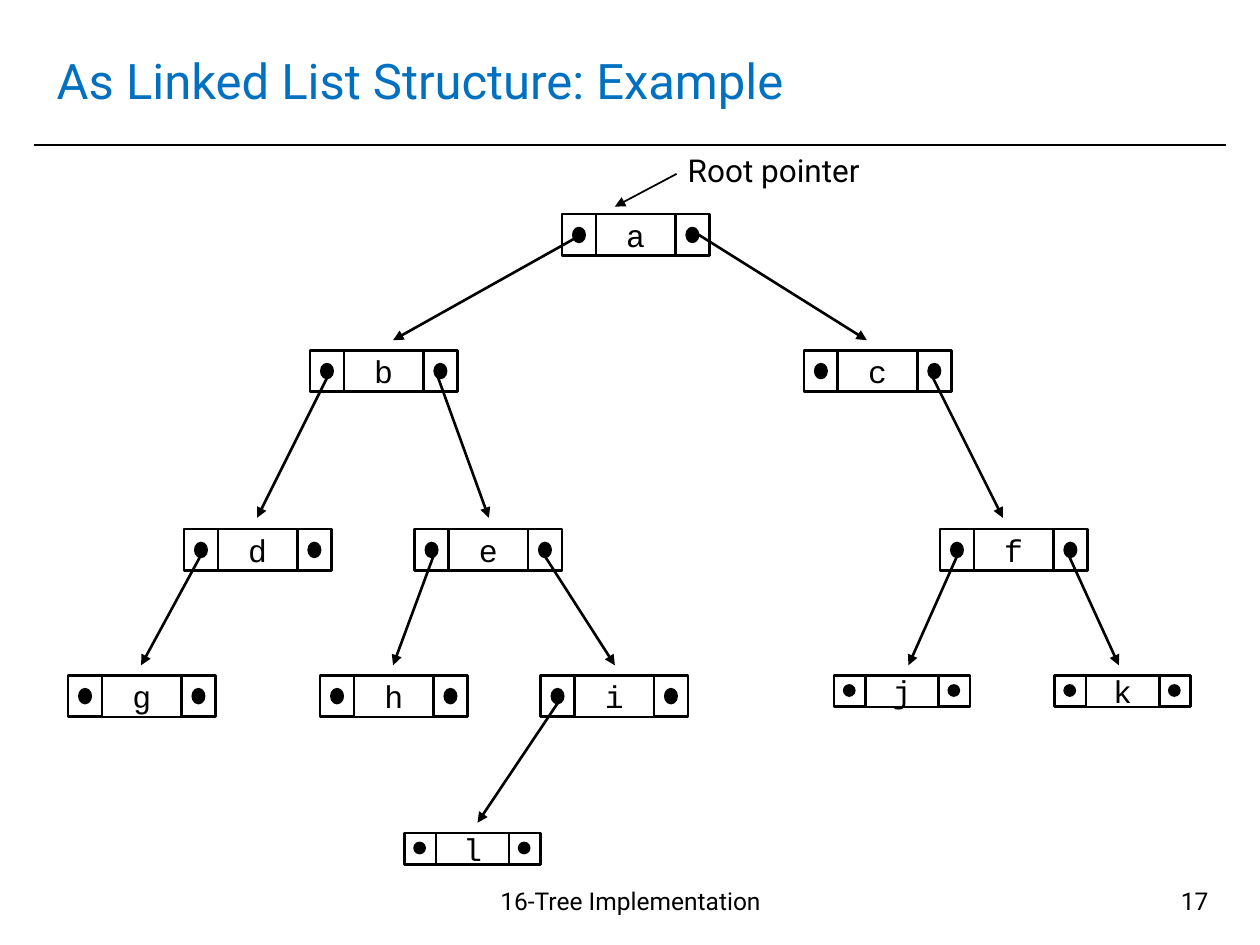
from pptx import Presentation
from pptx.dml.color import RGBColor
from pptx.enum.shapes import MSO_CONNECTOR as Conn, MSO_SHAPE as Kind
from pptx.enum.text import MSO_ANCHOR as Anchor, MSO_AUTO_SIZE as Fit, PP_ALIGN as Align
from pptx.oxml.ns import qn
from pptx.util import Pt
from lxml.etree import SubElement as Sub

PX = 9144  # EMU per px, 100 px to the inch


def tint(code):
    return RGBColor.from_string(code)


class Page:
    ink, blue = "000000", "0070C0"
    sans, mono = "Roboto", "Courier New"

    def __init__(self, deck):
        self.slide = deck.slides.add_slide(deck.slide_layouts[5])
        self.shapes = self.slide.shapes

    def put(self, frame, text, size, face, hue, align):
        para = frame.paragraphs[0]
        para.alignment = align
        run = para.add_run()
        run.text = text
        run.font.size = Pt(size)
        run.font.name = face
        run.font.color.rgb = tint(hue)

    def title(self, text, x, y, w, h):
        box = self.shapes.title
        box.left, box.top, box.width, box.height = (n * PX for n in (x, y, w, h))
        frame = box.text_frame
        frame.auto_size = Fit.NONE
        frame.vertical_anchor = Anchor.MIDDLE
        self.put(frame, text, 28, self.sans, self.blue, Align.LEFT)

    def label(self, text, x, y, w, h, size, align=Align.LEFT):
        box = self.shapes.add_textbox(*(n * PX for n in (x, y, w, h)))
        box.text_frame.word_wrap = True
        self.put(box.text_frame, text, size, self.sans, self.ink, align)

    def shape(self, kind, x, y, w, h, solid=False):
        item = self.shapes.add_shape(kind, *(n * PX for n in (x, y, w, h)))
        item.shadow.inherit = False
        if solid:
            item.fill.solid()
            item.fill.fore_color.rgb = tint(self.ink)
        else:
            item.fill.background()
        item.line.color.rgb = tint(self.ink)
        item.line.width = Pt(1.5)
        return item

    def node(self, name, x, y, small=False):
        # end cell width, middle width, height, dot size and dot offset
        cell, mid, high, dot, gap = (
            (25, 58, 25, (8, 8), (8, 8)) if small else (27, 63, 33, (9, 11), (9, 11)))
        for left in (x, x + cell + mid):
            self.shape(Kind.RECTANGLE, left, y, cell, high)
            self.shape(Kind.OVAL, left + gap[0], y + gap[1], *dot, solid=True)
        frame = self.shape(Kind.FLOWCHART_PROCESS, x + cell, y, mid, high).text_frame
        frame.word_wrap = False
        frame.vertical_anchor = Anchor.MIDDLE
        self.put(frame, name, 18, self.mono, self.ink, Align.CENTER)

    def line(self, x1, y1, x2, y2, width, arrow=True):
        item = self.shapes.add_connector(
            Conn.STRAIGHT, *(n * PX for n in (x1, y1, x2, y2)))
        item.line.color.rgb = tint(self.ink)
        item.line.width = Pt(width)
        props = item._element.spPr
        if arrow:
            Sub(props.find(qn("a:ln")), qn("a:tailEnd"), type="triangle")
        Sub(props, qn("a:effectLst"))


# Tree rows: top of the row, then name and left edge of each node
BIG = [
    (170, [("a", 446)]),
    (278, [("b", 246), ("c", 638)]),
    (420, [("d", 146), ("e", 329), ("f", 746)]),
    (536, [("g", 54), ("h", 254), ("i", 429)]),
]
SMALL = [
    (536, [("j", 662), ("k", 837)]),
    (661, [("l", 321)]),
]
# Links by level: start y, end y, then start x and end x of each arrow
LINKS = [
    (186, 270, [(462, 312), (554, 688)]),
    (295, 411, [(262, 204), (346, 388), (738, 796)]),
    (436, 528, [(162, 112), (346, 312), (429, 488), (762, 721), (846, 888)]),
    (553, 653, [(446, 379)]),
]


def main():
    deck = Presentation()
    deck.slide_width, deck.slide_height = 1000 * PX, 750 * PX
    page = Page(deck)

    # Heading and footer
    page.line(27, 115, 973, 115, 1, arrow=False)
    page.title("As Linked List Structure: Example", 35, 21, 929, 85)
    page.label("16-Tree Implementation", 335, 698, 331, 52, 14, Align.CENTER)
    page.label("17", 736, 698, 233, 52, 14, Align.RIGHT)

    # Tree nodes
    for rows, small in ((BIG, False), (SMALL, True)):
        for top, nodes in rows:
            for name, left in nodes:
                page.node(name, left, top, small)

    # Child links
    for y1, y2, ends in LINKS:
        for x1, x2 in ends:
            page.line(x1, y1, x2, y2, 1.5)

    # Root pointer
    page.label("Root pointer", 536, 115, 165, 40, 18)
    page.line(537, 138, 488, 164, 1)

    deck.save("out.pptx")


if __name__ == "__main__":
    main()
